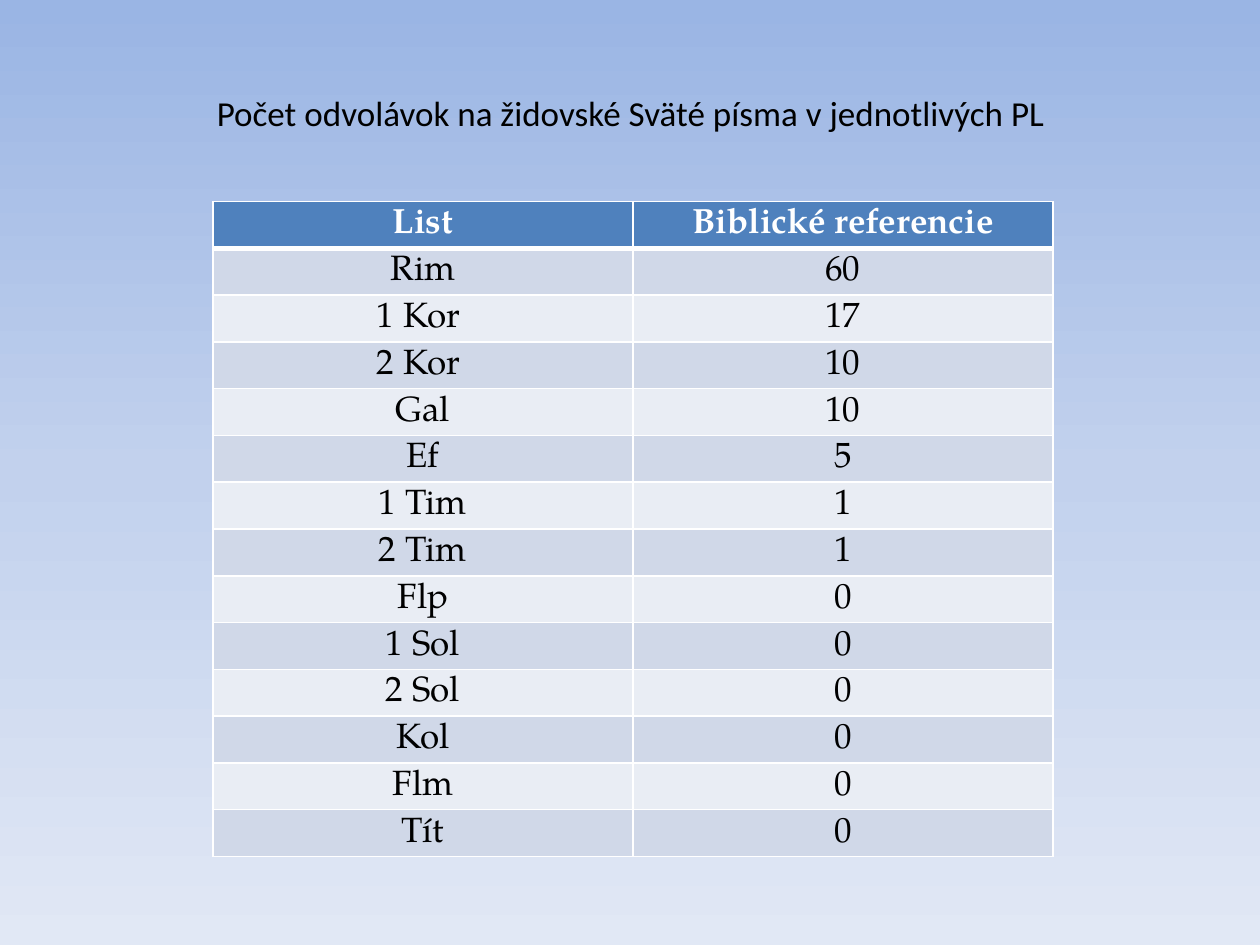
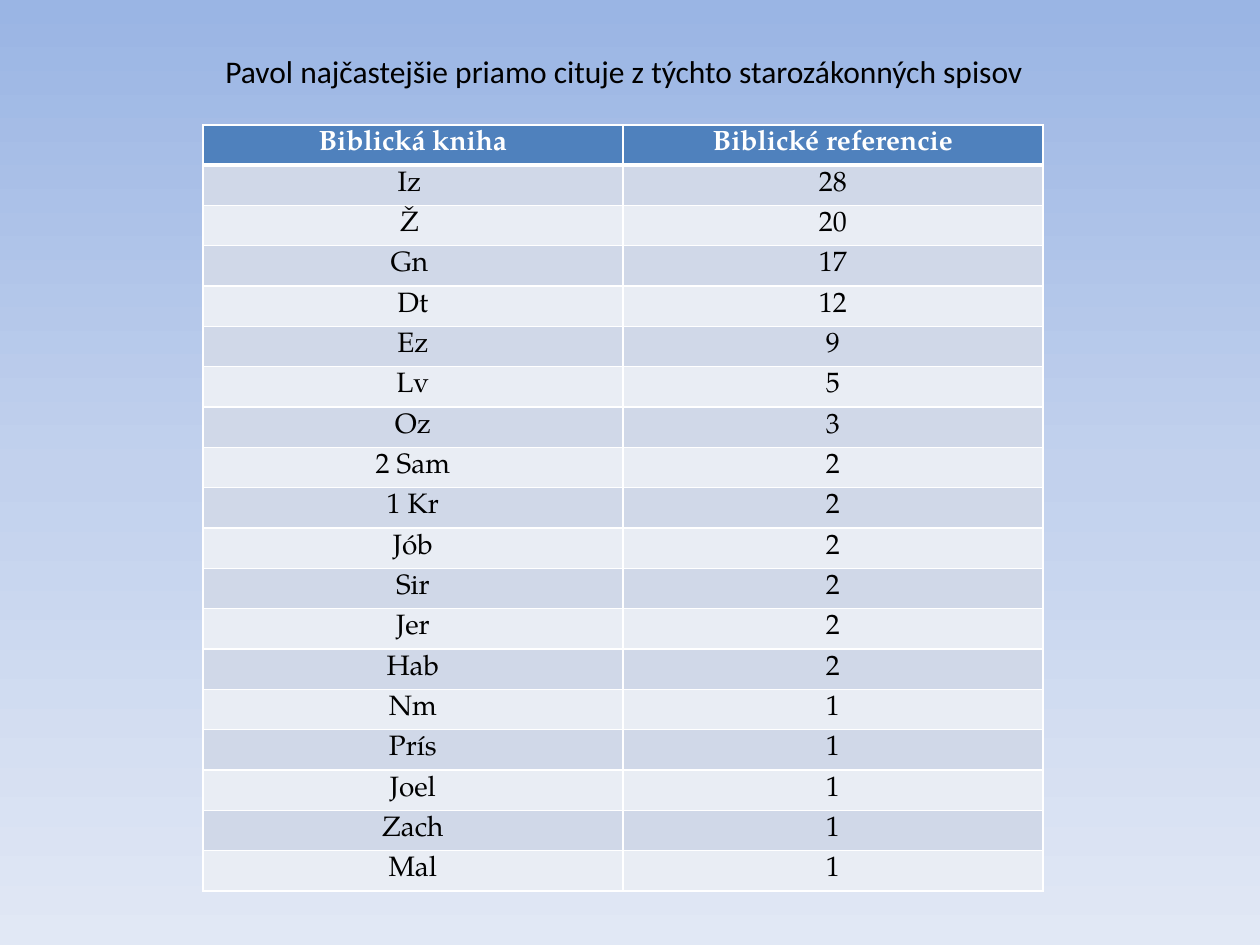
from dataclasses import dataclass

from lxml.etree import SubElement
from pptx import Presentation
from pptx.dml.color import RGBColor
from pptx.enum.text import MSO_ANCHOR, MSO_AUTO_SIZE, PP_ALIGN
from pptx.oxml.ns import qn
from pptx.slide import Slide
from pptx.table import _Cell as Cell
from pptx.text.text import _Paragraph as Paragraph
from pptx.util import Inches, Pt

COLORS = {
    "sky": "9AB5E4",
    "haze": "C2D1ED",
    "mist": "E1E8F5",
    "header": "4F81BD",
    "odd": "D0D8E8",
    "even": "E9EDF4",
    "white": "FFFFFF",
    "black": "000000",
}
BACKGROUND_STOPS = ((0, "sky"), (50, "haze"), (100, "mist"))
TITLE_FONT = "Calibri"
TABLE_FONT = "TeX Gyre Pagella"
SLIDE_WIDTH = Inches(10)
SLIDE_HEIGHT = Inches(7.5)
THIN_RULE = 1
HEADER_RULE = 3


@dataclass(frozen=True)
class Area:
    """Left, top, width and height in percent of the slide."""

    left: float
    top: float
    width: float
    height: float

    def lengths(self) -> tuple[int, int, int, int]:
        return (
            round(SLIDE_WIDTH * self.left / 100),
            round(SLIDE_HEIGHT * self.top / 100),
            round(SLIDE_WIDTH * self.width / 100),
            round(SLIDE_HEIGHT * self.height / 100),
        )


@dataclass(frozen=True)
class ReferencePage:
    title: str
    title_area: Area
    title_align: PP_ALIGN
    title_size: int
    table_area: Area
    table_size: int
    header: tuple[str, str]
    counts: tuple[tuple[str, int], ...]


PAGES = (
    ReferencePage(
        title="Počet odvolávok na židovské Sväté písma v jednotlivých PL",
        title_area=Area(15.4, 9.07, 69.3, 5.87),
        title_align=PP_ALIGN.CENTER,
        title_size=20,
        table_area=Area(16.9, 21.33, 66.67, 69.33),
        table_size=20,
        header=("List", "Biblické referencie"),
        counts=(
            ("Rim", 60), ("1 Kor ", 17), ("2 Kor ", 10), ("Gal", 10), ("Ef", 5),
            ("1 Tim", 1), ("2 Tim", 1), ("Flp", 0), ("1 Sol", 0), ("2 Sol", 0),
            ("Kol", 0), ("Flm", 0), ("Tít", 0),
        ),
    ),
    ReferencePage(
        title="Pavol najčastejšie priamo cituje z týchto starozákonných spisov",
        title_area=Area(16.9, 4.8, 65.4, 5.33),
        title_align=PP_ALIGN.LEFT,
        title_size=18,
        table_area=Area(16.1, 13.2, 66.67, 81.07),
        table_size=16,
        header=("Biblická kniha", "Biblické referencie"),
        counts=(
            ("Iz ", 28), ("Ž ", 20), ("Gn ", 17), ("Dt", 12), ("Ez", 9), ("Lv", 5),
            ("Oz", 3), ("2 Sam", 2), ("1 Kr", 2), ("Jób", 2), ("Sir", 2), ("Jer", 2),
            ("Hab", 2), ("Nm", 1), ("Prís", 1), ("Joel", 1), ("Zach", 1), ("Mal", 1),
        ),
    ),
)


def rgb(name: str) -> RGBColor:
    return RGBColor.from_string(COLORS[name])


def write(para: Paragraph, text: str, font: str, size: int, color: str,
          align: PP_ALIGN, bold: bool = False) -> None:
    para.text = text
    para.alignment = align
    for span in para.runs:
        span.font.name = font
        span.font.size = Pt(size)
        span.font.bold = bold
        span.font.color.rgb = rgb(color)


def paint_background(page: Slide) -> None:
    fill = page.background.fill
    fill.gradient()
    fill.gradient_angle = 270
    stops = page.element.find(".//" + qn("a:gsLst"))
    for stop in list(stops):
        stops.remove(stop)
    for percent, name in BACKGROUND_STOPS:
        stop = SubElement(stops, qn("a:gs"), pos=str(percent * 1000))
        SubElement(stop, qn("a:srgbClr"), val=COLORS[name])


def draw_borders(cell: Cell, top: int, bottom: int) -> None:
    properties = cell._tc.get_or_add_tcPr()
    widths = {"L": THIN_RULE, "R": THIN_RULE, "T": top, "B": bottom}
    for side, width in widths.items():
        line = SubElement(properties, qn(f"a:ln{side}"), w=str(Pt(width)))
        fill = SubElement(line, qn("a:solidFill"))
        SubElement(fill, qn("a:srgbClr"), val=COLORS["white"])


def draw_cell(cell: Cell, text: str, row: int, size: int) -> None:
    is_header = row == 0
    draw_borders(
        cell,
        top=HEADER_RULE if row == 1 else THIN_RULE,
        bottom=HEADER_RULE if is_header else THIN_RULE,
    )
    cell.fill.solid()
    cell.fill.fore_color.rgb = rgb("header" if is_header else "odd" if row % 2 else "even")
    cell.margin_left = cell.margin_right = Inches(0.07)
    cell.margin_top = cell.margin_bottom = 0
    cell.vertical_anchor = MSO_ANCHOR.TOP
    para = cell.text_frame.paragraphs[0]
    write(para, text, TABLE_FONT, size, "white" if is_header else "black",
          PP_ALIGN.CENTER, is_header)
    para.line_spacing = 1.2


def draw_table(page: Slide, content: ReferencePage) -> None:
    rows = (content.header, *content.counts)
    table = page.shapes.add_table(
        len(rows), len(content.header), *content.table_area.lengths()
    ).table
    for row, values in enumerate(rows):
        for column, value in enumerate(values):
            draw_cell(table.cell(row, column), str(value), row, content.table_size)


def draw_title(page: Slide, content: ReferencePage) -> None:
    frame = page.shapes.add_textbox(*content.title_area.lengths()).text_frame
    frame.word_wrap = False
    frame.auto_size = MSO_AUTO_SIZE.SHAPE_TO_FIT_TEXT
    write(frame.paragraphs[0], content.title, TITLE_FONT, content.title_size,
          "black", content.title_align)


def main() -> None:
    deck = Presentation()
    deck.slide_width = SLIDE_WIDTH
    deck.slide_height = SLIDE_HEIGHT
    for content in PAGES:
        page = deck.slides.add_slide(deck.slide_layouts[6])
        paint_background(page)
        draw_table(page, content)
        draw_title(page, content)
    deck.save("out.pptx")


if __name__ == "__main__":
    main()
